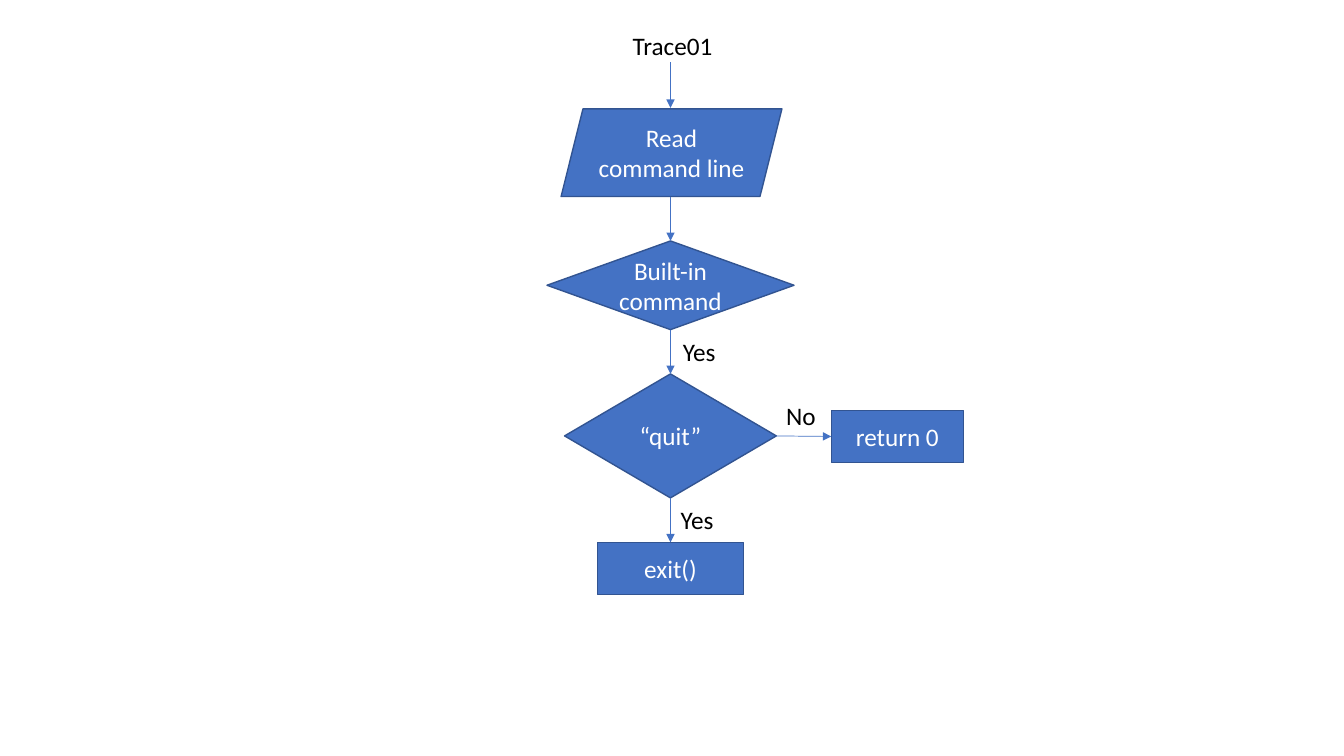
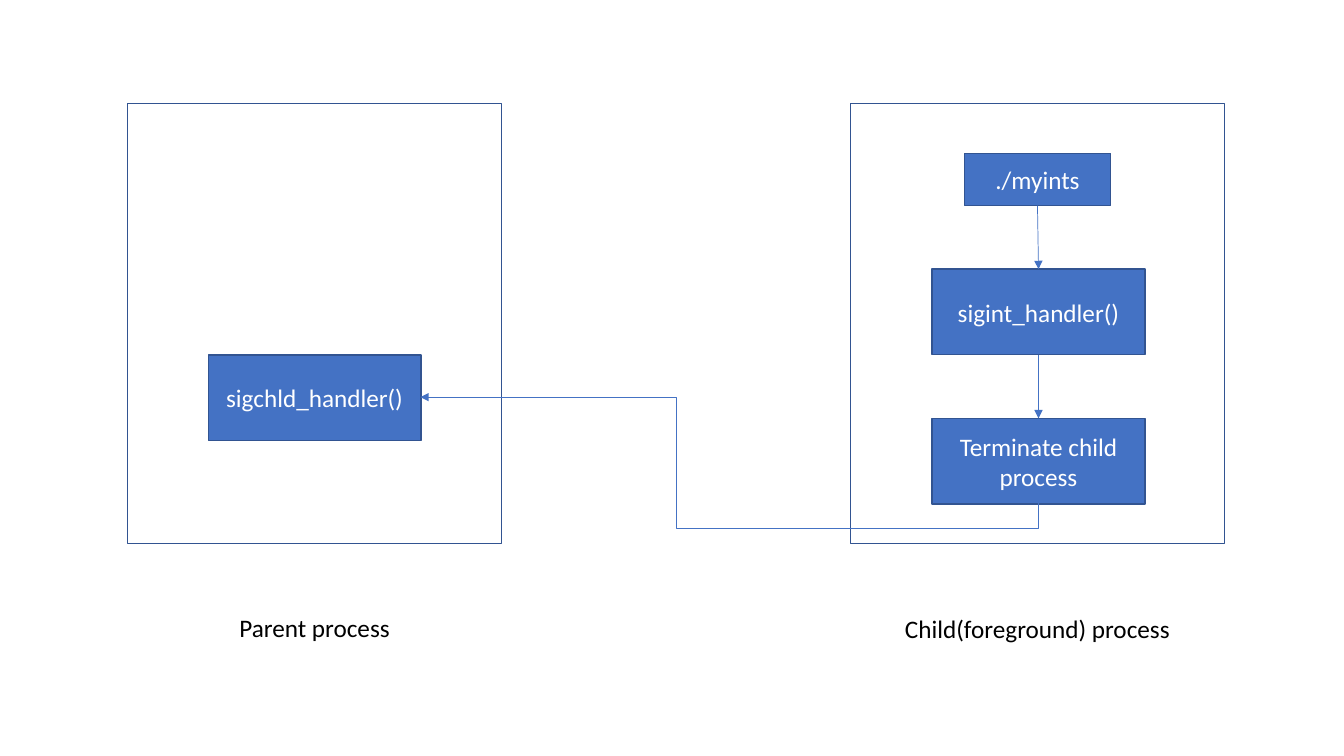
from lxml import etree
from pptx import Presentation
from pptx.dml.color import RGBColor
from pptx.enum.shapes import MSO_CONNECTOR, MSO_SHAPE
from pptx.enum.text import MSO_ANCHOR, MSO_AUTO_SIZE, PP_ALIGN
from pptx.oxml.ns import qn
from pptx.util import Inches, Pt

COLORS = {"step": "4472C4", "outline": "325491", "paper": "FFFFFF", "ink": "000000"}
FONT, TEXT_SIZE = "Calibri", 18
TOP, BOTTOM, RIGHT = 0, 2, 3  # connection sites

# Slide 1: key: (text, kind, center x, top, width, height)
SPINE = 6.65
TRACE_STEPS = {
    "read": ("Read command line", MSO_SHAPE.PARALLELOGRAM, 6.66, 1.08, 2.19, 0.87),
    "builtin": ("Built-in command", MSO_SHAPE.FLOWCHART_DECISION, SPINE, 2.39, 2.45, 0.88),
    "quit": ("“quit”", MSO_SHAPE.FLOWCHART_DECISION, SPINE, 3.71, 2.1, 1.23),
    "exit": ("exit()", MSO_SHAPE.RECTANGLE, SPINE, 5.38, 1.45, 0.52),
    "return": ("return 0", MSO_SHAPE.RECTANGLE, 8.9, 4.07, 1.31, 0.52),
}
TRACE_LINKS = [("builtin", BOTTOM, "quit", TOP), ("quit", BOTTOM, "exit", TOP),
               ("quit", RIGHT, "return", 1)]
TRACE_LABELS = [  # text, left, top, width
    ("Trace01", 5.98, 0.25, 1.38),
    ("Yes", 6.65, 3.29, 0.57),
    ("No", 7.66, 3.92, 0.57),
    ("Yes", 6.63, 4.95, 0.57),
]

# Slide 2: caption, center x, caption width, caption height
PROCESSES = [("Parent process", 3.12, 1.78, 0.74),
             ("Child(foreground) process", 10.29, 3.14, 0.76)]
PROCESS_TOP, PROCESS_WIDTH, PROCESS_HEIGHT, CAPTION_TOP = 1.03, 3.71, 4.36, 5.85
HANDLER_SIZE = (2.11, 0.85)
CHILD_AXIS = 10.3
SIGNAL_STEPS = {
    "myints": ("./myints", MSO_SHAPE.RECTANGLE, 10.29, 1.52, 1.45, 0.52),
    "sigint": ("sigint_handler()", MSO_SHAPE.RECTANGLE, CHILD_AXIS, 2.67, *HANDLER_SIZE),
    "terminate": ("Terminate child process", MSO_SHAPE.RECTANGLE, CHILD_AXIS, 4.15,
                  *HANDLER_SIZE),
    "sigchld": ("sigchld_handler()", MSO_SHAPE.RECTANGLE, 3.12, 3.52, *HANDLER_SIZE),
}
SIGNAL_LINKS = [("myints", BOTTOM, "sigint", TOP), ("sigint", BOTTOM, "terminate", TOP)]
SIGNAL_ROUTE = {"start": (10.3, 4.99), "end": (4.17, 3.94), "dip_y": 5.24, "turn_x": 6.71}


def color(key):
    """Return a palette colour."""
    return RGBColor.from_string(COLORS[key])


def write(shape, text, ink):
    """Put centred text in a shape."""
    frame = shape.text_frame
    frame.text = text
    frame.word_wrap = True
    for paragraph in frame.paragraphs:
        paragraph.alignment = PP_ALIGN.CENTER
        for run in paragraph.runs:
            run.font.name = FONT
            run.font.size = Pt(TEXT_SIZE)
            run.font.color.rgb = color(ink)


def add_block(slide, text, kind, center, top, width, height,
              fill="step", outline="outline", ink="paper"):
    """Draw a shape centred on a vertical axis."""
    block = slide.shapes.add_shape(kind, Inches(center - width / 2), Inches(top),
                                   Inches(width), Inches(height))
    block.shadow.inherit = False
    block.fill.solid()
    block.fill.fore_color.rgb = color(fill)
    block.line.color.rgb = color(outline)
    block.line.width = Pt(1)
    if text:
        write(block, text, ink)
        block.text_frame.vertical_anchor = MSO_ANCHOR.MIDDLE
    return block


def add_label(slide, text, left, top, width):
    """Add a plain label that fits its text."""
    label = slide.shapes.add_textbox(Inches(left), Inches(top), Inches(width), Inches(0.4))
    write(label, text, "ink")
    label.text_frame.auto_size = MSO_AUTO_SIZE.SHAPE_TO_FIT_TEXT


def add_arrow(slide, start=(0, 0), end=(0, 0), route=MSO_CONNECTOR.STRAIGHT):
    """Draw a thin connector with a triangle at its end."""
    arrow = slide.shapes.add_connector(route, *map(Inches, (*start, *end)))
    arrow.line.color.rgb = color("step")
    arrow.line.width = Pt(0.5)
    etree.SubElement(arrow.line._get_or_add_ln(), qn("a:tailEnd"), type="triangle")
    etree.SubElement(arrow._element.spPr, qn("a:effectLst"))
    return arrow


def add_flow(slide, steps, links):
    """Draw the steps and the arrows attached to them; return the steps."""
    blocks = {key: add_block(slide, *step) for key, step in steps.items()}
    for source, source_site, target, target_site in links:
        arrow = add_arrow(slide)
        arrow.begin_connect(blocks[source], source_site)
        arrow.end_connect(blocks[target], target_site)
    return blocks


def add_return_route(slide, start, end, dip_y, turn_x):
    """Draw the arrow that dips below its start, goes left, then up to its end."""
    (x1, y1), (x2, y2) = start, end
    across, rise = x1 - x2, y1 - y2
    mid_x, mid_y = (x1 + x2) / 2, (y1 + y2) / 2
    # The preset runs sideways first, so it is laid out upright and turned by 90 degrees.
    arrow = add_arrow(slide, (mid_x + rise / 2, mid_y - across / 2),
                      (mid_x - rise / 2, mid_y + across / 2), MSO_CONNECTOR.ELBOW)
    properties = arrow._element.spPr
    properties.find(qn("a:xfrm")).set("rot", str(90 * 60000))
    preset = properties.find(qn("a:prstGeom"))
    preset.set("prst", "bentConnector4")
    guides = preset.find(qn("a:avLst"))
    if guides is None:
        guides = etree.SubElement(preset, qn("a:avLst"))
    shares = {"adj1": (y1 - dip_y) / rise, "adj2": (x1 - turn_x) / across}
    for name, share in shares.items():
        etree.SubElement(guides, qn("a:gd"), name=name, fmla=f"val {round(share * 100000)}")


def build_trace(slide):
    """Build the command line flowchart."""
    blocks = add_flow(slide, TRACE_STEPS, TRACE_LINKS)
    add_arrow(slide, (SPINE, 0.62), (SPINE, 1.07))
    add_arrow(slide, (SPINE, 1.95), (SPINE, 2.39)).end_connect(blocks["builtin"], TOP)
    for label in TRACE_LABELS:
        add_label(slide, *label)


def build_signals(slide):
    """Build the parent and child process diagram."""
    for caption, center, width, height in PROCESSES:
        add_block(slide, "", MSO_SHAPE.RECTANGLE, center, PROCESS_TOP,
                  PROCESS_WIDTH, PROCESS_HEIGHT, fill="paper")
        add_block(slide, caption, MSO_SHAPE.RECTANGLE, center, CAPTION_TOP,
                  width, height, fill="paper", outline="paper", ink="ink")
    add_flow(slide, SIGNAL_STEPS, SIGNAL_LINKS)
    add_return_route(slide, **SIGNAL_ROUTE)


deck = Presentation()
deck.slide_width, deck.slide_height = Inches(13.33), Inches(7.5)
for build in (build_trace, build_signals):
    build(deck.slides.add_slide(deck.slide_layouts[6]))
deck.save("out.pptx")
